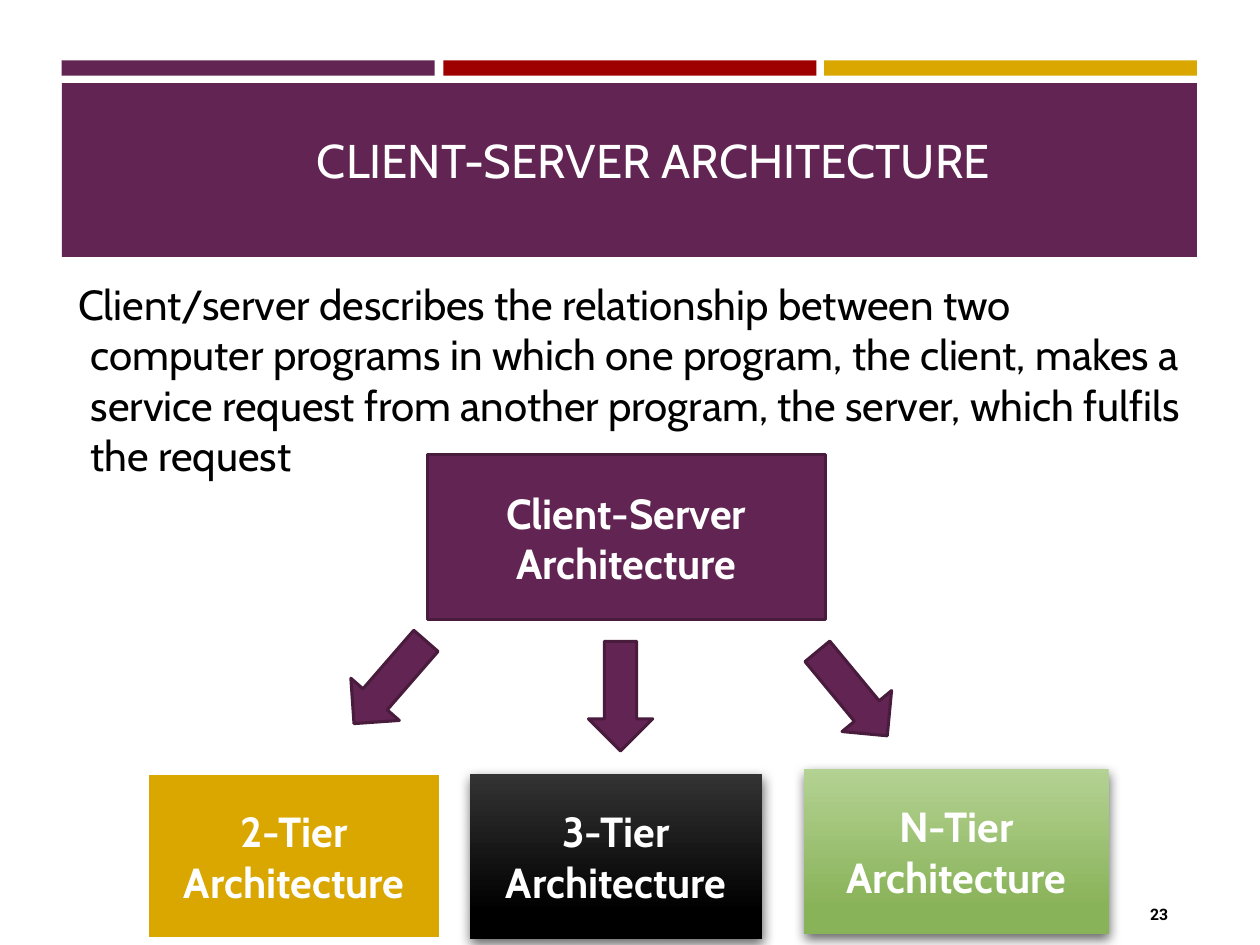
from dataclasses import dataclass
from typing import Optional

from lxml import etree
from pptx import Presentation, util as u
from pptx.dml.color import RGBColor
from pptx.enum import shapes, text
from pptx.oxml.ns import qn

# The slide is a grid of 100 columns by 75 rows.
COLS, ROWS = 100, 75
WIDTH, HEIGHT = u.Inches(10), u.Inches(7.5)
PURPLE, PLUM, RED, GOLD = "622452", "491B3D", "9E0000", "DAA600"
WHITE, BLACK = "FFFFFF", "000000"
FONT = "Cabin"
CENTER = text.PP_ALIGN.CENTER


@dataclass
class Area:
    col: float
    row: float
    cols: float
    rows: float

    def emu(self) -> tuple[int, int, int, int]:
        return (int(WIDTH * self.col / COLS), int(HEIGHT * self.row / ROWS),
                int(WIDTH * self.cols / COLS), int(HEIGHT * self.rows / ROWS))


@dataclass
class Box:
    label: str
    area: Area
    fill: str
    fade_to: Optional[str] = None
    line: Optional[str] = None
    line_width: float = 2


@dataclass
class Arrow:
    col: float
    row: float
    rotation: float = 0


STRIPES = [(4.9, PURPLE), (35.2, RED), (65.4, GOLD)]
BOXES = [
    Box("Client-Server Architecture", Area(33.9, 36.1, 31.6, 13.1), PURPLE,
        line=PLUM, line_width=1.75),
    Box("2-Tier Architecture", Area(11.7, 61.4, 23.3, 13.1), GOLD, line=WHITE),
    Box("3-Tier Architecture", Area(37.3, 61.4, 23.2, 13.1), "333333", BLACK),
    Box("N-Tier Architecture", Area(63.8, 61, 24.2, 13.1), "B4D293", "89B359"),
]
ARROWS = [Arrow(28.4, 49.8, 41), Arrow(46.7, 50.9), Arrow(65.1, 50.7, 320.4)]


def rgb(color: str) -> RGBColor:
    return RGBColor.from_string(color)


def place(sp, area: Area) -> None:
    sp.left, sp.top, sp.width, sp.height = area.emu()


def write(sp, words: str, size: float, color: str, align, anchor,
          bold: bool = False, font: str = FONT):
    tf = sp.text_frame
    tf.text = words
    tf.word_wrap = True
    tf.auto_size = text.MSO_AUTO_SIZE.NONE
    tf.vertical_anchor = anchor
    p = tf.paragraphs[0]
    p.alignment = align
    p.space_before = u.Pt(0)
    for r in p.runs:
        r.font.name, r.font.size, r.font.bold = font, u.Pt(size), bold
        r.font.color.rgb = rgb(color)
    return p


def add_solid(slide, kind, area: Area, fill: str,
              line: Optional[str] = None, line_width: float = 1.75):
    sp = slide.shapes.add_shape(kind, *area.emu())
    sp.shadow.inherit = False
    sp.fill.solid()
    sp.fill.fore_color.rgb = rgb(fill)
    if line:
        sp.line.color.rgb = rgb(line)
        sp.line.width = u.Pt(line_width)
    else:
        sp.line.fill.background()
    return sp


def fade(sp, start: str, end: str) -> None:
    """Fill from top to bottom with a gradient and cast a soft shadow."""
    sp.fill.gradient()
    sp.fill.gradient_angle = 270
    for stop, color, position in zip(sp.fill.gradient_stops, (start, end), (0, 0.84)):
        stop.color.rgb = rgb(color)
        stop.position = position
    effects = sp._element.spPr.find(qn("a:effectLst"))
    shadow = etree.SubElement(effects, qn("a:outerShdw"), blurRad=str(u.Pt(7)),
                              dist=str(u.Pt(3)), dir=str(84 * 60000), rotWithShape="0")
    color = etree.SubElement(shadow, qn("a:srgbClr"), val=BLACK)
    etree.SubElement(color, qn("a:alpha"), val="60000")


def add_box(slide, box: Box) -> None:
    sp = add_solid(slide, shapes.MSO_SHAPE.RECTANGLE, box.area, box.fill,
                   box.line, box.line_width)
    if box.fade_to:
        fade(sp, box.fill, box.fade_to)
    write(sp, box.label, 24, WHITE, CENTER, text.MSO_ANCHOR.MIDDLE, bold=True)


def add_arrow(slide, arrow: Arrow) -> None:
    sp = add_solid(slide, shapes.MSO_SHAPE.DOWN_ARROW,
                   Area(arrow.col, arrow.row, 5.1, 8.7), PURPLE, PLUM)
    sp.rotation = arrow.rotation


def add_header(slide) -> None:
    for col, color in STRIPES:
        add_solid(slide, shapes.MSO_SHAPE.RECTANGLE, Area(col, 4.8, 29.6, 1.2), color)
    add_solid(slide, shapes.MSO_SHAPE.RECTANGLE, Area(4.9, 6.6, 90.1, 13.8), PURPLE)
    title = slide.shapes.title
    place(title, Area(5.2, 7.1, 93.3, 8.3))
    write(title, "CLIENT-SERVER ARCHITECTURE", 27, WHITE, CENTER, text.MSO_ANCHOR.BOTTOM)
    # The title stands in front of its band.
    slide.shapes._spTree.append(title._element)


def add_description(slide) -> None:
    body = slide.placeholders[1]
    place(body, Area(5.2, 21.6, 90.3, 17.2))
    p = write(body, "Client/server describes the relationship between two computer "
              "programs in which one program, the client, makes a service request "
              "from another program, the server, which fulfils the request",
              24, BLACK, text.PP_ALIGN.LEFT, text.MSO_ANCHOR.TOP)
    pPr = p._p.get_or_add_pPr()
    pPr.set("marL", str(u.Inches(0.1)))
    pPr.set("indent", str(-u.Inches(0.1)))
    etree.SubElement(pPr, qn("a:buNone"))
    slide.shapes._spTree.append(body._element)


def main() -> None:
    prs = Presentation()
    prs.slide_width, prs.slide_height = WIDTH, HEIGHT
    slide = prs.slides.add_slide(prs.slide_layouts[1])
    add_header(slide)
    for box in BOXES:
        add_box(slide, box)
    for arrow in ARROWS:
        add_arrow(slide, arrow)
    number = slide.shapes.add_textbox(*Area(85.3, 70.6, 8.4, 4).emu())
    write(number, "23", 9, BLACK, text.PP_ALIGN.RIGHT, text.MSO_ANCHOR.MIDDLE,
          bold=True, font="Roboto")
    add_description(slide)
    prs.save("out.pptx")


if __name__ == "__main__":
    main()
